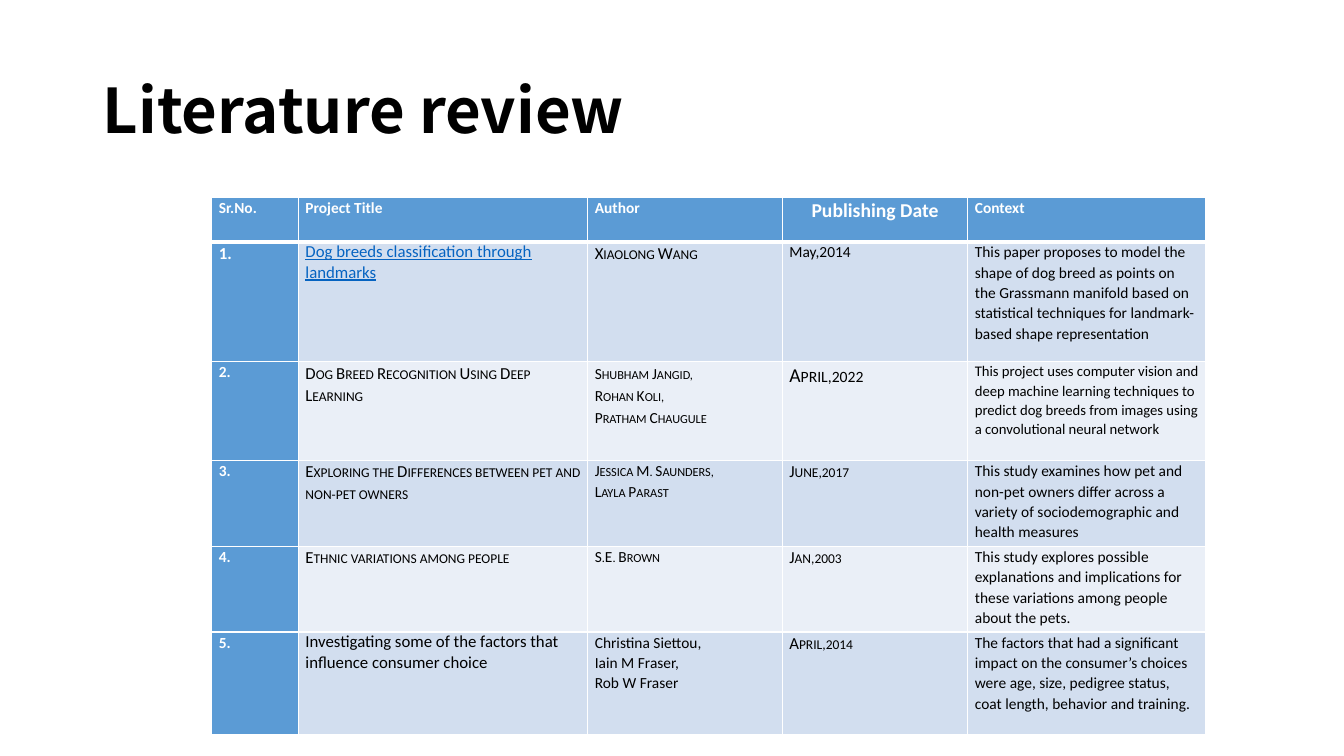
from lxml.etree import SubElement
from pptx import Presentation
from pptx.dml.color import RGBColor
from pptx.enum.text import MSO_ANCHOR, PP_ALIGN
from pptx.oxml.ns import qn
from pptx.util import Inches, Pt

WHITE = RGBColor(0xFF, 0xFF, 0xFF)
BLACK = RGBColor(0, 0, 0)
BLUE = RGBColor(0x5B, 0x9B, 0xD5)
LINK = RGBColor(0x05, 0x63, 0xC1)
BANDS = [RGBColor(0xEA, 0xEF, 0xF7), RGBColor(0xD2, 0xDE, 0xEF)]

TITLE = "Literature review"
WIDTHS = [0.86, 2.87, 1.93, 1.84, 2.36]
HEIGHTS = [0.44, 1.19, 0.98, 0.85, 0.85, 1.02]

# Each cell: text, size and, where they differ from the usual, its format.
CAPS = {"caps": True}
DATE = {"before": 12}
CAPDATE = {"caps": True, "before": 12}
HEAD = {"bold": True, "color": WHITE, "before": 12}
NUMBER = {"bold": True, "color": WHITE}
ROWS = [
    [("Sr.No.", 11, HEAD), ("Project Title", 11, HEAD), ("Author", 11, HEAD),
     ("Publishing Date", 14, {**HEAD, "align": PP_ALIGN.CENTER}),
     ("Context", 11, HEAD)],
    [("1.", 12, NUMBER),
     ("Dog breeds classification through landmarks", 12,
      {"color": LINK, "under": True, "lines": 1.0}),
     ("Xiaolong Wang", 12, CAPDATE),
     ("May,2014", 11, DATE),
     ("This paper proposes to model the shape of dog breed as points on the "
      "Grassmann manifold based on statistical techniques for landmark-based "
      "shape representation", 11, {})],
    [("2.", 11, NUMBER),
     ("Dog Breed Recognition Using Deep Learning", 12, CAPS),
     ("Shubham Jangid,\nRohan Koli,\nPratham Chaugule", 11,
      {"caps": True, "lines": 1.15}),
     ("April,2022", 14, CAPDATE),
     ("This project uses computer vision and deep machine learning techniques "
      "to predict dog breeds from images using a convolutional neural network",
      10.5, {})],
    [("3.", 11, NUMBER),
     ("Exploring the Differences between pet and non-pet owners", 12, CAPS),
     ("Jessica M. Saunders,\nLayla Parast", 11, CAPS),
     ("June,2017", 12, CAPDATE),
     ("This study examines how pet and non-pet owners differ across a variety "
      "of sociodemographic and health measures", 11, {})],
    [("4.", 11, NUMBER),
     ("Ethnic variations among people", 12, CAPS),
     ("S.E. Brown", 11, CAPS),
     ("Jan,2003", 12, CAPDATE),
     ("This study explores possible explanations and implications for these "
      "variations among people about the pets.", 11, {})],
    [("5.", 11, NUMBER),
     ("Investigating some of the factors that influence consumer choice", 12,
      {"lines": 1.0}),
     ("Christina Siettou,\nIain M Fraser,\nRob W Fraser", 11, {}),
     ("April,2014", 12, CAPDATE),
     ("The factors that had a significant impact on the consumer’s choices "
      "were age, size, pedigree status, coat length, behavior and training.",
      11, {})],
]


def write(frame, text, size, font="Calibri", color=BLACK, bold=False,
          under=False, caps=False, lines=1.07, before=0, align=PP_ALIGN.LEFT):
    for i, line in enumerate(text.split("\n")):
        para = frame.add_paragraph() if i else frame.paragraphs[0]
        para.alignment = align
        para.line_spacing = lines
        para.space_before = Pt(before)
        run = para.add_run()
        run.text = line
        run.font.name = font
        run.font.size = Pt(size)
        run.font.bold = bold
        run.font.underline = under
        run.font.color.rgb = color
        if caps:
            run.font._element.set("cap", "small")


def border(cell, sides):
    """Draw white borders, given as side tag to points, under the cell fill."""
    props = cell._tc.get_or_add_tcPr()
    for side, points in sides.items():
        line = SubElement(props, qn("a:" + side), w=str(Pt(points)))
        fill = SubElement(line, qn("a:solidFill"))
        SubElement(fill, qn("a:srgbClr"), val=str(WHITE))


def main():
    deck = Presentation()
    deck.slide_width, deck.slide_height = Inches(13.33), Inches(7.5)
    slide = deck.slides.add_slide(deck.slide_layouts[5])

    title = slide.shapes.title
    title.left, title.top = Inches(0.92), Inches(0.4)
    title.width, title.height = Inches(11.5), Inches(1.45)
    title.text_frame.vertical_anchor = MSO_ANCHOR.MIDDLE
    write(title.text_frame, TITLE, 44, "Noto Sans CJK JP", bold=True, lines=0.9)

    table = slide.shapes.add_table(
        len(HEIGHTS), len(WIDTHS), Inches(2.1), Inches(1.96),
        Inches(sum(WIDTHS)), Inches(sum(HEIGHTS))).table
    for col, width in zip(table.columns, WIDTHS):
        col.width = Inches(width)
    for r, (height, cells) in enumerate(zip(HEIGHTS, ROWS)):
        table.rows[r].height = Inches(height)
        for c, (text, size, style) in enumerate(cells):
            cell = table.cell(r, c)
            cell.margin_left = cell.margin_right = Inches(0.07)
            cell.margin_top = cell.margin_bottom = 0
            border(cell, {"lnL": 1, "lnR": 1, "lnT": 3 if r == 1 else 1,
                          "lnB": 3 if r == 0 else 1})
            cell.fill.solid()
            cell.fill.fore_color.rgb = BLUE if r == 0 or c == 0 else BANDS[r % 2]
            write(cell.text_frame, text, size, **style)

    deck.save("out.pptx")


if __name__ == "__main__":
    main()
